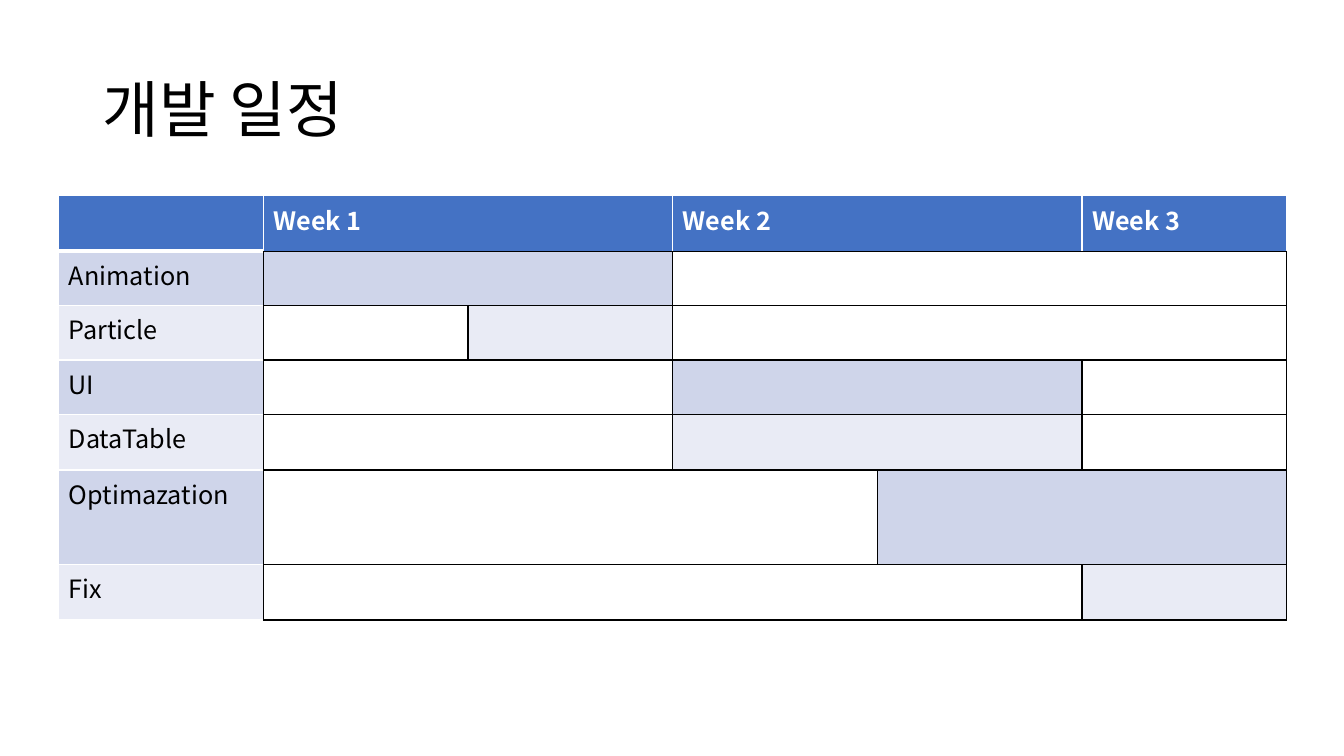
from lxml.etree import SubElement
from pptx import Presentation
from pptx.dml.color import RGBColor as Color
from pptx.enum.text import MSO_ANCHOR as Anchor, PP_ALIGN as Align
from pptx.oxml import parse_xml
from pptx.oxml.ns import nsdecls, qn
from pptx.util import Inches, Pt

COLORS = {"header": "4472C4", "band": "CFD5EA", "pale": "E9EBF5",
          "white": "FFFFFF", "black": "000000"}
WEEKS = [("Week 1", 2), ("Week 2", 2), ("Week 3", 1)]
# Each task: name, row height, then (columns, busy) from left to right
TASKS = [
    ("Animation", 0.54, [(2, True), (3, False)]),
    ("Particle", 0.54, [(1, False), (1, True), (3, False)]),
    ("UI", 0.54, [(2, False), (2, True), (1, False)]),
    ("DataTable", 0.55, [(2, False), (2, True), (1, False)]),
    ("Optimazation", 0.94, [(3, False), (2, True)]),
    ("Fix", 0.55, [(4, False), (1, True)]),
]
HEADER_HEIGHT = 0.55
COLUMNS = 6
SIDES = ("lnL", "lnR", "lnT", "lnB")
WHITE_EDGES = [("white", 1)] * 4
BLACK_EDGES = [("black", 1)] * 4
HEADER_EDGES = [("white", 1)] * 3 + [("black", 1)]
CORNER_EDGES = [("white", 1)] * 3 + [("white", 3)]
NAME_EDGES = [("white", 1), ("black", 1), ("white", 1), ("white", 1)]


class SlideBuilder:
    font = "Noto Sans CJK KR"

    def __init__(self, deck):
        self.width, self.height = deck.slide_width, deck.slide_height
        self.page = deck.slides.add_slide(deck.slide_layouts[5])

    def place(self, left, top, width, height):
        """Turn shares of the slide into lengths."""
        return (round(left * self.width), round(top * self.height),
                round(width * self.width), round(height * self.height))

    def text(self, para, words, size, color, bold=False):
        span = para.add_run()
        span.text = words
        span.font.size, span.font.bold = Pt(size), bold
        span.font.name = self.font
        span.font.color.rgb = Color.from_string(COLORS[color])
        SubElement(span.font._element, qn("a:ea"), typeface=self.font)

    def title(self, words, area):
        box = self.page.shapes.title
        box.left, box.top, box.width, box.height = self.place(*area)
        box.text_frame.vertical_anchor = Anchor.MIDDLE
        para = box.text_frame.paragraphs[0]
        para.alignment, para.line_spacing = Align.LEFT, 0.9
        self.text(para, words, 44, "black")

    def table(self, heights, area):
        frame = self.page.shapes.add_table(len(heights), COLUMNS, *self.place(*area))
        self.grid = frame.table
        for column in self.grid.columns:
            column.width = Inches(2.03)
        for row, height in zip(self.grid.rows, heights):
            row.height = Inches(height)

    def cell(self, row, column, fill, edges, words="", color="black", bold=False, span=1):
        cells = [self.grid.cell(row, column + step) for step in range(span)]
        if span > 1:
            cells[0].merge(cells[-1])
        for cell in cells:
            cell.fill.solid()
            cell.fill.fore_color.rgb = Color.from_string(COLORS[fill])
            properties = cell._tc.get_or_add_tcPr()
            for index, (side, (edge, points)) in enumerate(zip(SIDES, edges)):
                properties.insert(index, parse_xml(
                    f'<a:{side} {nsdecls("a")} w="{Pt(points)}"><a:solidFill>'
                    f'<a:srgbClr val="{COLORS[edge]}"/></a:solidFill></a:{side}>'))
        if words:
            self.text(cells[0].text_frame.paragraphs[0], words, 18, color, bold)


deck = Presentation()
deck.slide_width, deck.slide_height = Inches(13.33), Inches(7.5)
slide = SlideBuilder(deck)

# Title
slide.title("개발 일정", (0.069, 0.053, 0.863, 0.193))

# Schedule header
slide.table([HEADER_HEIGHT] + [height for _, height, _ in TASKS],
            (0.0437, 0.259, 0.914, 0.56))
slide.cell(0, 0, "header", CORNER_EDGES)
column = 1
for week, span in WEEKS:
    slide.cell(0, column, "header", HEADER_EDGES, week, "white", True, span)
    column += span

# Task rows with alternating bands
for row, (task, _, periods) in enumerate(TASKS, start=1):
    band = "band" if row % 2 else "pale"
    slide.cell(row, 0, band, NAME_EDGES, task)
    column = 1
    for span, busy in periods:
        slide.cell(row, column, band if busy else "white", BLACK_EDGES, span=span)
        column += span

deck.save("out.pptx")
